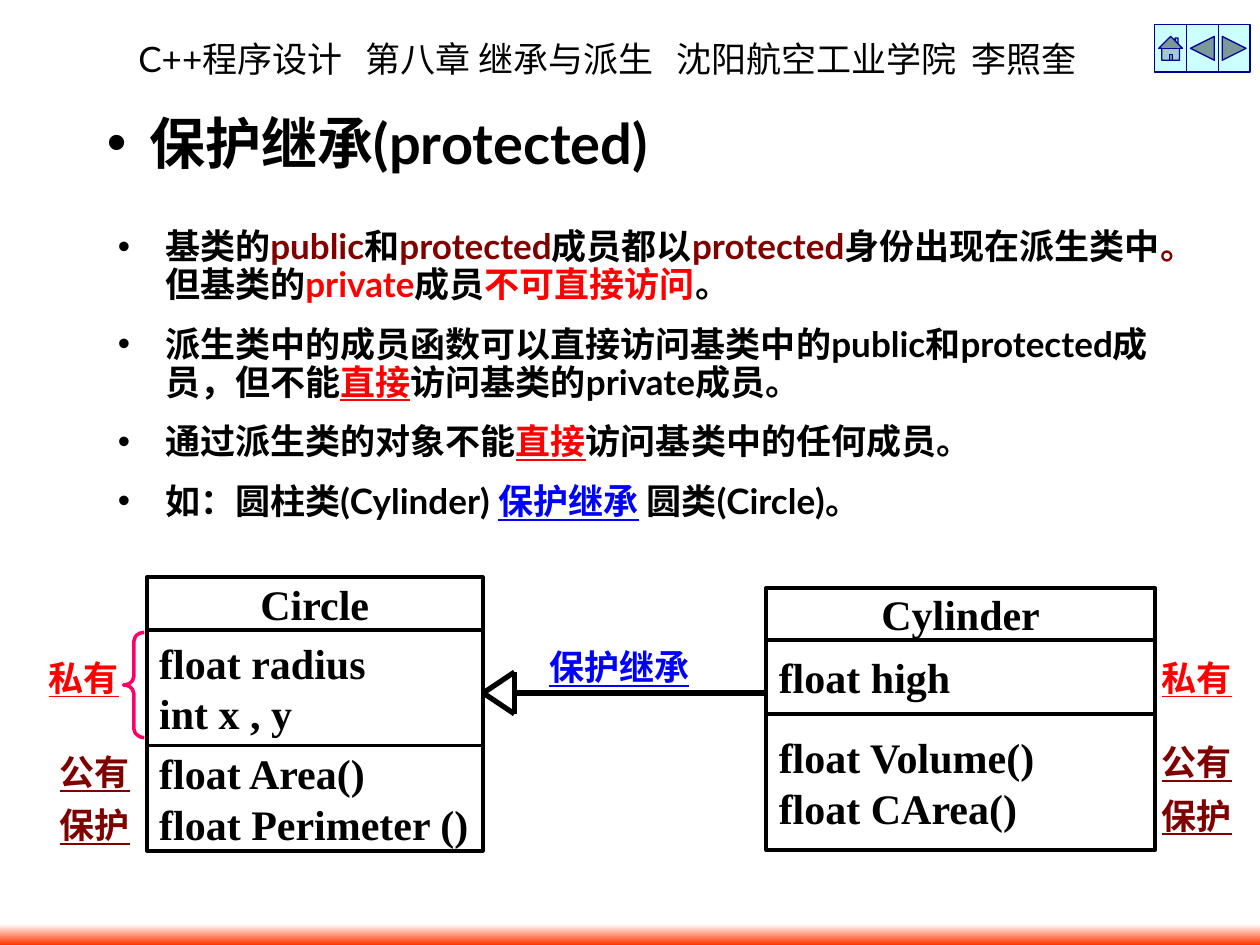
"""Build the slide on protected inheritance in C++."""
import lxml.etree
import pptx
import pptx.dml.color
import pptx.enum.shapes
import pptx.enum.text
import pptx.oxml.ns
import pptx.util

Cm = pptx.util.Cm
Pt = pptx.util.Pt
RGBColor = pptx.dml.color.RGBColor
MSO_SHAPE = pptx.enum.shapes.MSO_SHAPE
ALIGN = pptx.enum.text.PP_ALIGN
qn = pptx.oxml.ns.qn

BLACK = RGBColor(0x00, 0x00, 0x00)
WHITE = RGBColor(0xFF, 0xFF, 0xFF)
RED = RGBColor(0xFF, 0x00, 0x00)
MAROON = RGBColor(0x80, 0x00, 0x00)
BLUE = RGBColor(0x00, 0x00, 0xFF)
PINK = RGBColor(0xFF, 0x00, 0x66)
ORANGE = RGBColor(0xFF, 0x33, 0x00)
NAVY = RGBColor(0x00, 0x00, 0x99)
PALE_CYAN = RGBColor(0xCC, 0xFF, 0xFF)

SANS = "Lato"
SERIF = "Times New Roman"
CHINESE = "Noto Sans CJK SC"

BULLETS = [
    [("基类的", BLACK), ("public", MAROON), ("和", BLACK), ("protected", MAROON),
     ("成员都以", BLACK), ("protected", MAROON), ("身份出现在派生类中", BLACK),
     ("。", MAROON), ("但基类的", BLACK), ("private", RED), ("成员", BLACK),
     ("不可直接访问", RED), ("。", BLACK)],
    [("派生类中的成员函数可以直接访问基类中的public和protected成员，但不能", BLACK),
     ("直接", RED, True), ("访问基类的private成员。", BLACK)],
    [("通过派生类的对象不能", BLACK), ("直接", RED, True),
     ("访问基类中的任何成员。", BLACK)],
    [("如：圆柱类(Cylinder) ", BLACK), ("保护继承", BLUE, True),
     (" 圆类(Circle)。", BLACK)],
]


def add_run(paragraph, text, size, color=BLACK, underline=False, font=SANS, bold=True):
    """Append one formatted run with matching Latin and Chinese fonts."""
    run = paragraph.add_run()
    run.text = text
    run.font.name = font
    run.font.size = Pt(size)
    run.font.bold = bold
    run.font.underline = underline
    run.font.color.rgb = color
    east_asian = lxml.etree.Element(qn("a:ea"), typeface=CHINESE)
    run.font._element.find(qn("a:latin")).addnext(east_asian)


def place(shape, left, top, width, height):
    """Move and resize a shape, in centimetres."""
    shape.left, shape.top = Cm(left), Cm(top)
    shape.width, shape.height = Cm(width), Cm(height)


def add_shape(slide, kind, box, line_color=None, line_width=0, fill_color=None):
    """Add a preset shape without a shadow."""
    shape = slide.shapes.add_shape(kind, *map(Cm, box))
    shape.shadow.inherit = False
    if fill_color is None:
        shape.fill.background()
    else:
        shape.fill.solid()
        shape.fill.fore_color.rgb = fill_color
    if line_color is None:
        shape.line.fill.background()
    else:
        shape.line.color.rgb = line_color
        shape.line.width = Pt(line_width)
    return shape


def add_header(slide):
    """Add the course line with its parts aligned on tab stops."""
    frame = slide.shapes.add_textbox(Cm(2.54), Cm(0.64), Cm(20.96), Cm(1.12)).text_frame
    frame.word_wrap = True
    paragraph = frame.paragraphs[0]
    properties = paragraph._p.get_or_add_pPr()
    tabs = lxml.etree.SubElement(properties, qn("a:tabLst"))
    for position in (4.57, 10.85, 16.8):
        lxml.etree.SubElement(tabs, qn("a:tab"), pos=str(Cm(position)), algn="l")
    for text in ("C++程序设计", "\t第八章 继承与派生", "\t沈阳航空工业学院", "\t李照奎"):
        add_run(paragraph, text, 20, bold=False)


def add_footer_bar(slide):
    """Add the gradient bar along the bottom edge."""
    bar = add_shape(slide, MSO_SHAPE.RECTANGLE, (0, 18.63, 25.4, 0.42))
    bar.fill.gradient()
    bar.fill.gradient_angle = 270
    for stop, color in zip(bar.fill.gradient_stops, (WHITE, ORANGE)):
        stop.color.rgb = color


def add_navigation(slide):
    """Add the row of navigation buttons."""
    kinds = (MSO_SHAPE.ACTION_BUTTON_HOME, MSO_SHAPE.ACTION_BUTTON_BACK_OR_PREVIOUS,
             MSO_SHAPE.ACTION_BUTTON_FORWARD_OR_NEXT)
    for index, kind in enumerate(kinds):
        box = (23.28 + 0.64 * index, 0.5, 0.64, 0.95)
        add_shape(slide, kind, box, NAVY, 0.75, PALE_CYAN)


def fill_title(title):
    """Place the bulleted slide title."""
    place(title, 1.9, 1.27, 21.59, 3.18)
    title.text_frame.auto_size = pptx.enum.text.MSO_AUTO_SIZE.NONE
    paragraph = title.text_frame.paragraphs[0]
    paragraph.alignment = ALIGN.LEFT
    properties = paragraph._p.get_or_add_pPr()
    properties.set("marL", str(Cm(0.86)))
    properties.set("indent", str(Cm(-0.86)))
    lxml.etree.SubElement(properties, qn("a:buFont"), typeface="Arial")
    lxml.etree.SubElement(properties, qn("a:buChar"), char="•")
    add_run(paragraph, "保护继承(protected)", 32)


def fill_body(body):
    """Place the list of rules."""
    place(body, 2.12, 4.5, 21.59, 7.62)
    frame = body.text_frame
    frame.auto_size = pptx.enum.text.MSO_AUTO_SIZE.NONE
    for index, runs in enumerate(BULLETS):
        paragraph = frame.add_paragraph() if index else frame.paragraphs[0]
        paragraph.line_spacing = 0.9
        paragraph.space_before = Pt(12.5 if index else 0)
        for text, *style in runs:
            add_run(paragraph, text, 20, *style)


def add_class(slide, left, top, width, compartments):
    """Stack the compartments of one class, the name first."""
    for index, (height, lines) in enumerate(compartments):
        shape = add_shape(slide, MSO_SHAPE.RECTANGLE, (left, top, width, height), BLACK, 2.25)
        frame = shape.text_frame
        frame.word_wrap = False
        frame.vertical_anchor = pptx.enum.text.MSO_ANCHOR.MIDDLE
        for number, line in enumerate(lines):
            paragraph = frame.add_paragraph() if number else frame.paragraphs[0]
            paragraph.alignment = ALIGN.LEFT if index else ALIGN.CENTER
            add_run(paragraph, line, 24, font=SERIF)
        top += height


def add_line(slide, start, end):
    """Draw one straight line of the inheritance arrow."""
    connector = slide.shapes.add_connector(
        pptx.enum.shapes.MSO_CONNECTOR.STRAIGHT, *map(Cm, start + end))
    connector.line.color.rgb = BLACK
    connector.line.width = Pt(3)
    lxml.etree.SubElement(connector.element.spPr, qn("a:effectLst"))


def add_arrow(slide):
    """Draw the hollow-headed inheritance arrow."""
    tip, upper, lower = (9.74, 13.97), (10.37, 13.55), (10.37, 14.39)
    for start, end in ((tip, upper), (tip, lower), (upper, lower),
                       ((10.37, 13.97), (15.45, 13.97))):
        add_line(slide, start, end)


def add_label(slide, text, color, left, top, width=2.54):
    """Add an underlined label centred in its box."""
    frame = slide.shapes.add_textbox(Cm(left), Cm(top), Cm(width), Cm(1.48)).text_frame
    frame.word_wrap = False
    frame.vertical_anchor = pptx.enum.text.MSO_ANCHOR.MIDDLE
    frame.paragraphs[0].alignment = ALIGN.CENTER
    add_run(frame.paragraphs[0], text, 20, color, True, SERIF)


def main():
    """Build and save the presentation."""
    presentation = pptx.Presentation()
    presentation.slide_width, presentation.slide_height = Cm(25.4), Cm(19.05)
    slide = presentation.slides.add_slide(presentation.slide_layouts[1])
    add_header(slide)
    add_footer_bar(slide)
    add_navigation(slide)
    fill_title(slide.shapes.title)
    fill_body(slide.placeholders[1])
    add_class(slide, 2.96, 11.64, 6.77, [
        (1.06, ["Circle"]),
        (2.33, ["float radius", "int x , y"]),
        (2.12, ["float Area()", "float Perimeter ()"])])
    add_class(slide, 15.45, 11.85, 7.83, [
        (1.06, ["Cylinder"]),
        (1.48, ["float high"]),
        (2.75, ["float Volume()", "float CArea()"])])
    add_arrow(slide)
    add_label(slide, "保护继承", BLUE, 10.58, 12.7, 3.81)
    brace = add_shape(slide, MSO_SHAPE.LEFT_BRACE, (2.49, 12.75, 0.42, 2.12), PINK, 2)
    brace.adjustments[0] = 0.42
    for text, color, left, top in (
            ("私有", RED, 0.42, 12.91), ("公有", MAROON, 0.64, 14.82),
            ("保护", MAROON, 0.64, 15.88), ("私有", RED, 22.86, 12.91),
            ("公有", MAROON, 22.86, 14.61), ("保护", MAROON, 22.86, 15.69)):
        add_label(slide, text, color, left, top)
    presentation.save("out.pptx")


if __name__ == "__main__":
    main()
